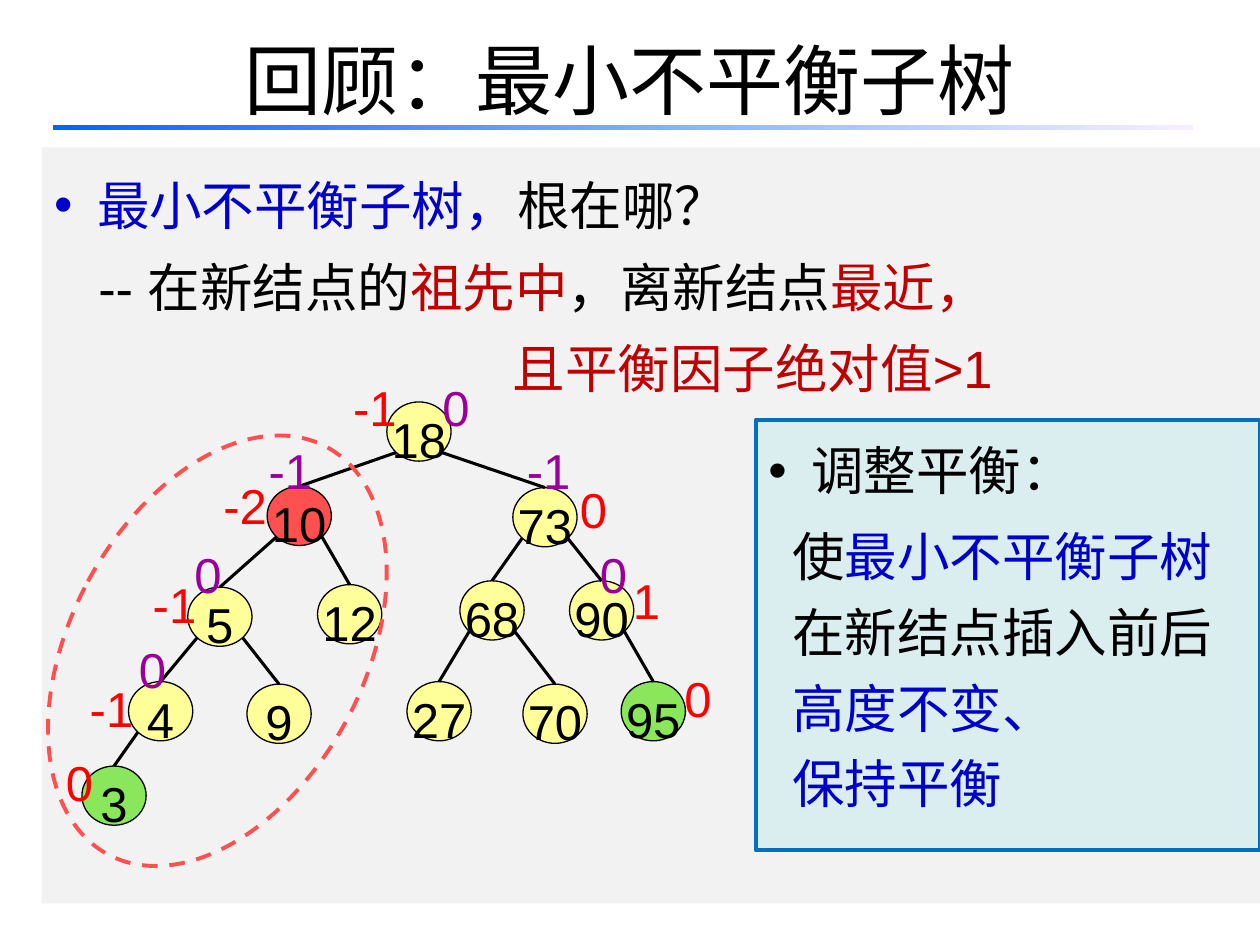
import math
from typing import NamedTuple, Optional

from lxml import etree
from pptx import Presentation
from pptx.dml.color import RGBColor
from pptx.enum import dml, shapes, text
from pptx.oxml.ns import qn
from pptx.util import Inches, Pt

COLORS = {
    "black": "000000", "blue": "0000CC", "dark_red": "C00000", "red": "FF0000",
    "purple": "990099", "yellow": "FFFF99", "green": "8AE75B", "coral": "FF5050",
    "panel": "F2F2F2", "aqua": "DAEDEF", "border": "0070C0",
    "bar_start": "0066FF", "bar_end": "F7EFFF",
}
NODE_W, NODE_H = 0.51, 0.47
LATIN, CJK = "Arial", "Noto Sans CJK SC"


class Node(NamedTuple):
    key: str
    x: float
    y: float
    parent: Optional[str] = None
    fill: str = "yellow"


class Factor(NamedTuple):
    value: str
    x: float
    y: float
    color: str


class Line(NamedTuple):
    runs: list
    indent: float
    bullet: Optional[str] = None
    before: float = 0


NODES = [
    Node("18", 3.07, 3.19),
    Node("10", 2.12, 3.86, "18", "coral"),
    Node("73", 4.07, 3.87, "18"),
    Node("5", 1.49, 4.66, "10"),
    Node("12", 2.52, 4.64, "10"),
    Node("68", 3.65, 4.61, "73"),
    Node("90", 4.52, 4.61, "73"),
    Node("4", 1.02, 5.41, "5"),
    Node("9", 1.96, 5.43, "5"),
    Node("27", 3.23, 5.41, "68"),
    Node("70", 4.15, 5.43, "68"),
    Node("95", 4.93, 5.41, "90", "green"),
    Node("3", 0.65, 6.08, "4", "green"),
]
FACTORS = [
    Factor("0", 1, 4.91, "purple"), Factor("0", 1.44, 4.16, "purple"),
    Factor("-1", 2.03, 3.33, "purple"), Factor("-1", 4.08, 3.33, "purple"),
    Factor("0", 4.66, 4.16, "purple"), Factor("0", 3.41, 2.83, "purple"),
    Factor("0", 0.42, 5.81, "red"), Factor("-1", 0.61, 5.22, "red"),
    Factor("-1", 1.11, 4.39, "red"), Factor("-2", 1.67, 3.61, "red"),
    Factor("1", 4.92, 4.36, "red"), Factor("0", 4.5, 3.64, "red"),
    Factor("0", 5.33, 5.14, "red"), Factor("-1", 2.7, 2.83, "red"),
]
QUESTION = [
    Line([("最小不平衡子树，", "blue"), ("根在哪？", "black")], 0.34, "•"),
    Line([("-- 在新结点的", "black"), ("祖先中", "dark_red"),
          ("，离新结点", "black"), ("最近，", "dark_red")], 0.35),
    Line([("且平衡因子绝对值>1", "dark_red")], 3.64),
]
REBALANCE = [
    Line([("调整平衡：", "black")], 0.34, "•"),
    Line([("使", "black"), ("最小不平衡子树", "blue")], 0.19, before=6),
    Line([("在新结点插入前后", "black")], 0.19),
    Line([("高度不变、", "blue")], 0.19),
    Line([("保持平衡", "blue")], 0.19),
]


def rgb(name: str) -> RGBColor:
    return RGBColor.from_string(COLORS[name])


def add_run(p, content: str, *, size: float = 28, color: str = "black", font: str = LATIN):
    r = p.add_run()
    r.text = content
    r.font.size = Pt(size)
    r.font.name = font
    r.font.color.rgb = rgb(color)
    return r


def place(sp, x: float, y: float, w: float, h: float) -> None:
    sp.left, sp.top, sp.width, sp.height = map(Inches, (x, y, w, h))


def add_preset(s, kind, x: float, y: float, w: float, h: float, fill=None, line=None, width=0.75):
    sp = s.shapes.add_shape(kind, *map(Inches, (x, y, w, h)))
    sp.shadow.inherit = False
    if fill:
        sp.fill.solid()
        sp.fill.fore_color.rgb = rgb(fill)
    else:
        sp.fill.background()
    if line:
        sp.line.color.rgb = rgb(line)
        sp.line.width = Pt(width)
    else:
        sp.line.fill.background()
    return sp


def write_lines(tf, lines: list[Line], spacing: float, align) -> None:
    tf.word_wrap = True
    tf.auto_size = text.MSO_AUTO_SIZE.NONE
    tf.vertical_anchor = text.MSO_ANCHOR.TOP
    for i, line in enumerate(lines):
        p = tf.paragraphs[0] if i == 0 else tf.add_paragraph()
        p.alignment = align
        p.line_spacing = spacing
        p.space_before = Pt(line.before)
        pPr = p._p.get_or_add_pPr()
        pPr.set("marL", str(Inches(line.indent)))
        pPr.set("indent", str(-Inches(line.indent) if line.bullet else 0))
        if line.bullet:
            etree.SubElement(pPr, qn("a:buFont")).set("typeface", LATIN)
            etree.SubElement(pPr, qn("a:buChar")).set("char", line.bullet)
        else:
            etree.SubElement(pPr, qn("a:buNone"))
        for content, color in line.runs:
            add_run(p, content, size=30, color=color)


def write_number(tf, value: str, color: str = "black") -> None:
    tf.word_wrap = False
    p = tf.paragraphs[0]
    p.alignment = text.PP_ALIGN.CENTER
    p.line_spacing = 1.25
    add_run(p, value, color=color)


def add_node(s, node: Node):
    sp = add_preset(s, shapes.MSO_SHAPE.OVAL, node.x, node.y, NODE_W, NODE_H, node.fill, "black")
    sp.text_frame.vertical_anchor = text.MSO_ANCHOR.MIDDLE
    write_number(sp.text_frame, node.key)
    return sp


def add_edge(s, parent: Node, child: Node, child_sp) -> None:
    side = math.copysign(1, child.x - parent.x)
    diagonal = math.cos(math.pi / 4)
    x = parent.x + NODE_W / 2 * (1 + side * diagonal)
    y = parent.y + NODE_H / 2 * (1 + diagonal)
    cn = s.shapes.add_connector(shapes.MSO_CONNECTOR.STRAIGHT, Inches(x), Inches(y),
                                Inches(child.x + NODE_W / 2), Inches(child.y))
    cn.end_connect(child_sp, 0)
    cn.line.color.rgb = rgb("black")
    cn.line.width = Pt(1.75)
    etree.SubElement(cn._element.spPr, qn("a:effectLst"))


def add_factor(s, factor: Factor) -> None:
    w = 0.42 if len(factor.value) == 1 else 0.55
    sp = s.shapes.add_textbox(*map(Inches, (factor.x, factor.y, w, 0.66)))
    write_number(sp.text_frame, factor.value, factor.color)


def main() -> None:
    prs = Presentation()
    prs.slide_width, prs.slide_height = Inches(10), Inches(7.5)
    s = prs.slides.add_slide(prs.slide_layouts[1])

    title, body = s.shapes.title, s.placeholders[1]
    place(title, 0.5, 0, 9, 1.25)
    title.text_frame.vertical_anchor = text.MSO_ANCHOR.MIDDLE
    p = title.text_frame.paragraphs[0]
    p.alignment = text.PP_ALIGN.CENTER
    add_run(p, "回顾：最小不平衡子树", size=44, font=CJK)

    place(body, 0.33, 1.17, 9.67, 6)
    body.fill.solid()
    body.fill.fore_color.rgb = rgb("panel")
    write_lines(body.text_frame, QUESTION, 1.3, text.PP_ALIGN.JUSTIFY)

    bar = add_preset(s, shapes.MSO_SHAPE.RECTANGLE, 0.42, 0.99, 9.05, 0.04)
    bar.fill.gradient()
    bar.fill.gradient_angle = 0
    for stop, color in zip(bar.fill.gradient_stops, ("bar_start", "bar_end")):
        stop.color.rgb = rgb(color)

    nodes = {node.key: node for node in NODES}
    ovals = {node.key: add_node(s, node) for node in NODES}
    for node in NODES:
        if node.parent:
            add_edge(s, nodes[node.parent], node, ovals[node.key])
    for factor in FACTORS:
        add_factor(s, factor)

    subtree = add_preset(s, shapes.MSO_SHAPE.OVAL, 0.56, 3.33, 2.33, 3.67, line="coral", width=2.25)
    subtree.rotation = 28.2
    subtree.line.dash_style = dml.MSO_LINE.DASH

    panel = add_preset(s, shapes.MSO_SHAPE.RECTANGLE, 6, 3.33, 4, 3.42, "aqua", "border", 2.25)
    write_lines(panel.text_frame, REBALANCE, 1.2, text.PP_ALIGN.LEFT)
    prs.save("out.pptx")


if __name__ == "__main__":
    main()
